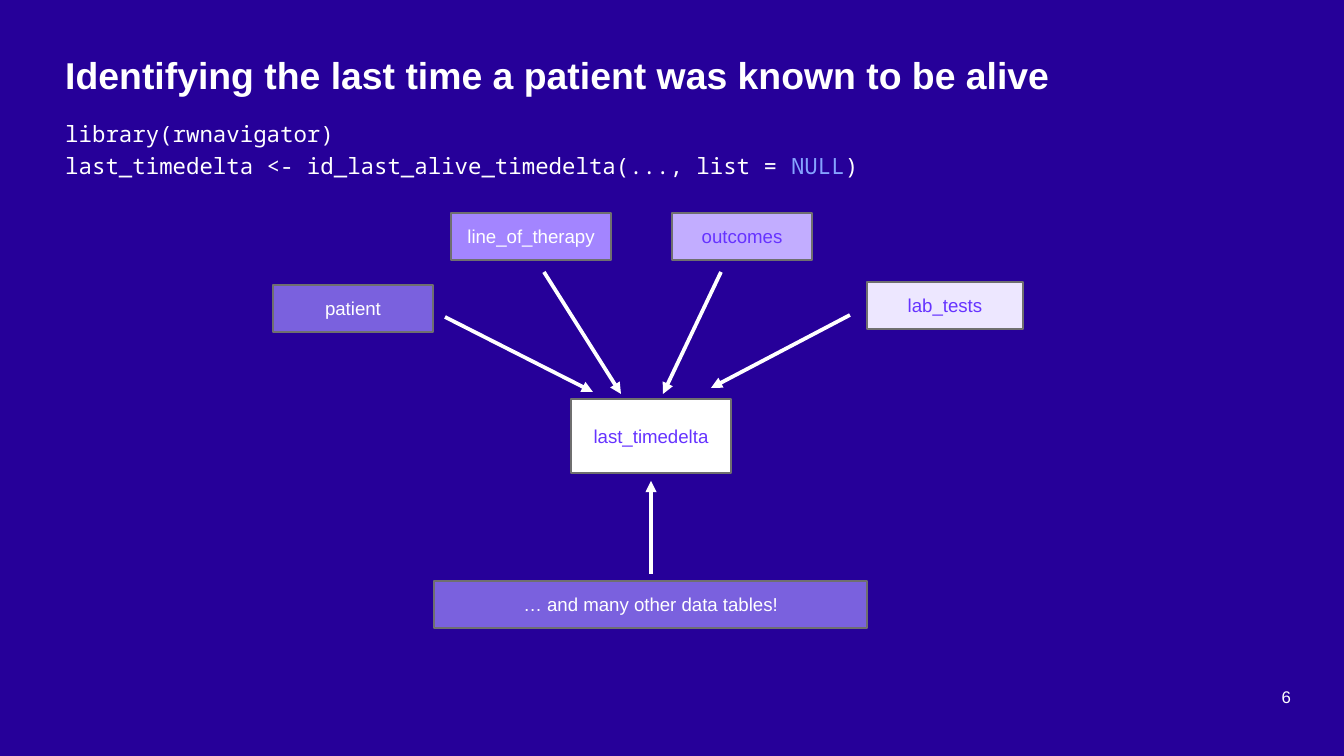
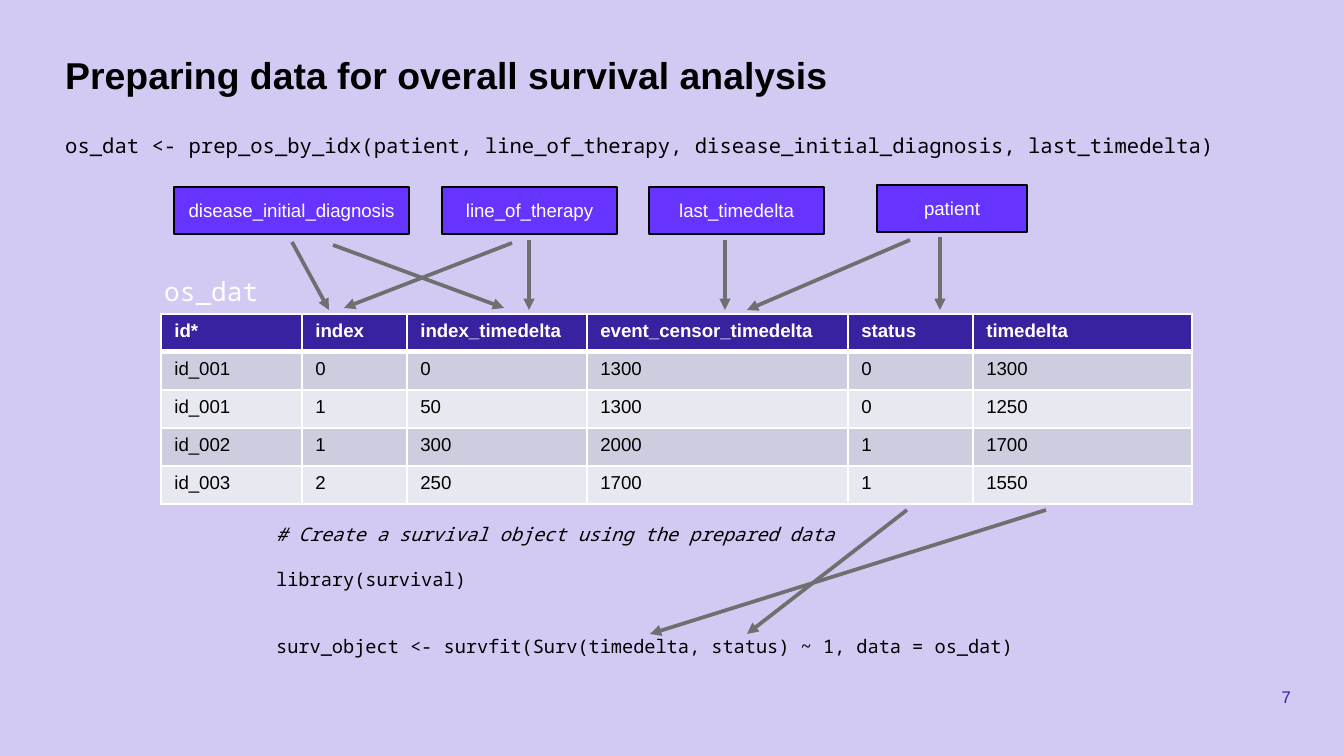
import pptx
import pptx.util
import pptx.dml.color
import pptx.enum.shapes
import pptx.enum.text
import pptx.oxml
import pptx.oxml.ns
import lxml.etree

PX = 914400 / 134.4
SANS, MONO = "Arial", "Noto Sans Mono"
MIDDLE = pptx.enum.text.MSO_ANCHOR.MIDDLE
CENTER, RIGHT = pptx.enum.text.PP_ALIGN.CENTER, pptx.enum.text.PP_ALIGN.RIGHT
COLORS = {
    "night": "260099", "lilac": "D3CAF4", "white": "FFFFFF", "black": "000000",
    "grey": "6F6F6F", "indigo": "3A219F", "violet": "6633FF", "null": "85A3FF",
    "purple": "7A61DE", "mauve": "A385FF", "orchid": "C2ADFF", "mist": "EDE7FF",
    "band_dark": "CECDDF", "band_light": "E8E8F0",
}


def px(n):
    return pptx.util.Emu(round(n * PX))


def rgb(name):
    return pptx.dml.color.RGBColor.from_string(COLORS[name])


def format_runs(p, size, color, font=SANS, bold=False):
    for r in p.runs:
        r.font.size = pptx.util.Pt(size)
        r.font.name = font
        r.font.bold = bold
        r.font.color.rgb = rgb(color)


def add_text(s, box, lines, size, color, font=SANS, bold=False):
    tf = s.shapes.add_textbox(*map(px, box)).text_frame
    tf.word_wrap = True
    tf.text = "\n".join(lines)
    for p in tf.paragraphs:
        format_runs(p, size, color, font, bold)
    return tf


def add_slide(prs, number, title, background, title_color, number_color):
    """Add a slide with its background, title and page number."""
    s = prs.slides.add_slide(prs.slide_layouts[6])
    s.background.fill.solid()
    s.background.fill.fore_color.rgb = rgb(background)
    tf = add_text(s, (978, 677, 313, 40), [str(number)], 9, number_color)
    tf.margin_left = tf.margin_right = tf.margin_top = tf.margin_bottom = 0
    tf.vertical_anchor = MIDDLE
    tf.paragraphs[0].alignment = RIGHT
    add_text(s, (52, 46, 1240, 85), [title], 20, title_color, bold=True)
    return s


def add_box(s, box, label, fill, color="white", line="grey"):
    sp = s.shapes.add_shape(pptx.enum.shapes.MSO_SHAPE.RECTANGLE, *map(px, box))
    sp.shadow.inherit = False
    sp.fill.solid()
    sp.fill.fore_color.rgb = rgb(fill)
    sp.line.color.rgb = rgb(line)
    sp.line.width = pptx.util.Pt(0.75)
    tf = sp.text_frame
    tf.text = label
    tf.vertical_anchor = MIDDLE
    tf.paragraphs[0].alignment = CENTER
    format_runs(tf.paragraphs[0], 10, color)


def add_arrow(s, ends, color):
    c = s.shapes.add_connector(pptx.enum.shapes.MSO_CONNECTOR.STRAIGHT, *map(px, ends))
    c.line.color.rgb = rgb(color)
    c.line.width = pptx.util.Pt(2)
    ln = c.line._get_or_add_ln()
    lxml.etree.SubElement(ln, pptx.oxml.ns.qn("a:tailEnd"), type="triangle")
    lxml.etree.SubElement(c._element.spPr, pptx.oxml.ns.qn("a:effectLst"))


def set_borders(cell, top, bottom):
    """Draw white cell borders; the widths of top and bottom are in points."""
    tcPr = cell._tc.get_or_add_tcPr()
    for side, width in (("L", 1), ("R", 1), ("T", top), ("B", bottom)):
        tcPr.append(pptx.oxml.parse_xml(
            f'<a:ln{side} {pptx.oxml.ns.nsdecls("a")} w="{pptx.util.Pt(width)}">'
            f'<a:solidFill><a:srgbClr val="{COLORS["white"]}"/></a:solidFill>'
            f'</a:ln{side}>'))


def add_table(s, left, top, widths, row_height, rows):
    table = s.shapes.add_table(len(rows), len(widths), px(left), px(top),
                               px(sum(widths)), px(row_height * len(rows))).table
    table.first_row = table.horz_banding = False
    for column, width in zip(table.columns, widths):
        column.width = px(width)
    for i, values in enumerate(rows):
        header = i == 0
        fill = "indigo" if header else ("band_light", "band_dark")[i % 2]
        for j, value in enumerate(values):
            cell = table.cell(i, j)
            set_borders(cell, 3 if i == 1 else 1, 3 if header else 1)
            cell.fill.solid()
            cell.fill.fore_color.rgb = rgb(fill)
            cell.text = value
            format_runs(cell.text_frame.paragraphs[0], 10,
                        "white" if header else "black", bold=header)


def build_last_alive(prs):
    s = add_slide(prs, 6, "Identifying the last time a patient was known to be alive",
                  "night", "white", "white")
    tf = add_text(s, (52, 114, 942, 85),
                  ["library(rwnavigator)",
                   "last_timedelta <- id_last_alive_timedelta(..., list = "],
                  12, "white", MONO)
    p = tf.paragraphs[1]
    for text in ("NULL", ")"):
        p.add_run().text = text
    format_runs(p, 12, "white", MONO)
    p.runs[1].font.color.rgb = rgb("null")
    for p in tf.paragraphs:
        p.space_before = pptx.util.Pt(2.5)

    for box, label, fill, color in (
        ((273, 285, 160, 47), "patient", "purple", "white"),
        ((451, 213, 160, 47), "line_of_therapy", "mauve", "white"),
        ((672, 213, 140, 47), "outcomes", "orchid", "violet"),
        ((867, 282, 156, 47), "lab_tests", "mist", "violet"),
        ((571, 399, 160, 74), "last_timedelta", "white", "violet"),
        ((434, 581, 433, 47), "… and many other data tables!", "purple", "white"),
    ):
        add_box(s, box, label, fill, color)
    for ends in ((445, 317, 593, 392), (544, 272, 621, 394), (721, 272, 663, 394),
                 (850, 315, 711, 388), (651, 574, 651, 481)):
        add_arrow(s, ends, "white")


def build_survival(prs):
    s = add_slide(prs, 7, "Preparing data for overall survival analysis",
                  "lilac", "black", "indigo")
    tf = add_text(s, (52, 114, 1286, 48),
                  ["os_dat <- prep_os_by_idx(patient, line_of_therapy, "
                   "disease_initial_diagnosis, last_timedelta)"], 11, "black", MONO)
    tf.paragraphs[0].line_spacing = 1.5

    add_table(s, 161, 314, (141, 105, 180, 261, 125, 219), 38, (
        ("id*", "index", "index_timedelta", "event_censor_timedelta", "status", "timedelta"),
        ("id_001", "0", "0", "1300", "0", "1300"),
        ("id_001", "1", "50", "1300", "0", "1250"),
        ("id_002", "1", "300", "2000", "1", "1700"),
        ("id_003", "2", "250", "1700", "1", "1550"),
    ))
    add_text(s, (151, 269, 138, 46), ["os_dat"], 14, "white", MONO)
    for left, top, width, label in (
        (174, 187, 235, "disease_initial_diagnosis"),
        (442, 187, 175, "line_of_therapy"),
        (649, 187, 175, "last_timedelta"),
        (877, 185, 150, "patient"),
    ):
        add_box(s, (left, top, width, 47), label, "violet", line="black")

    tf = add_text(s, (263, 516, 773, 149),
                  ["# Create a survival object using the prepared data",
                   "library(survival)",
                   "surv_object <- survfit(Surv(timedelta, status) ~ 1, data = os_dat)"],
                  10, "black", MONO)
    tf.paragraphs[0].runs[0].font.italic = True
    for p, gap in zip(tf.paragraphs[1:], (12, 24)):
        p.space_before = pptx.util.Pt(gap)

    for ends in ((292, 242, 329, 310), (333, 245, 504, 308), (512, 243, 344, 308),
                 (529, 240, 529, 310), (725, 240, 725, 310), (910, 240, 747, 310),
                 (940, 237, 940, 310), (907, 510, 747, 634), (1046, 510, 650, 634)):
        add_arrow(s, ends, "grey")


def main():
    prs = pptx.Presentation()
    prs.slide_width, prs.slide_height = px(1344), px(756)
    build_last_alive(prs)
    build_survival(prs)
    prs.save("out.pptx")


if __name__ == "__main__":
    main()
